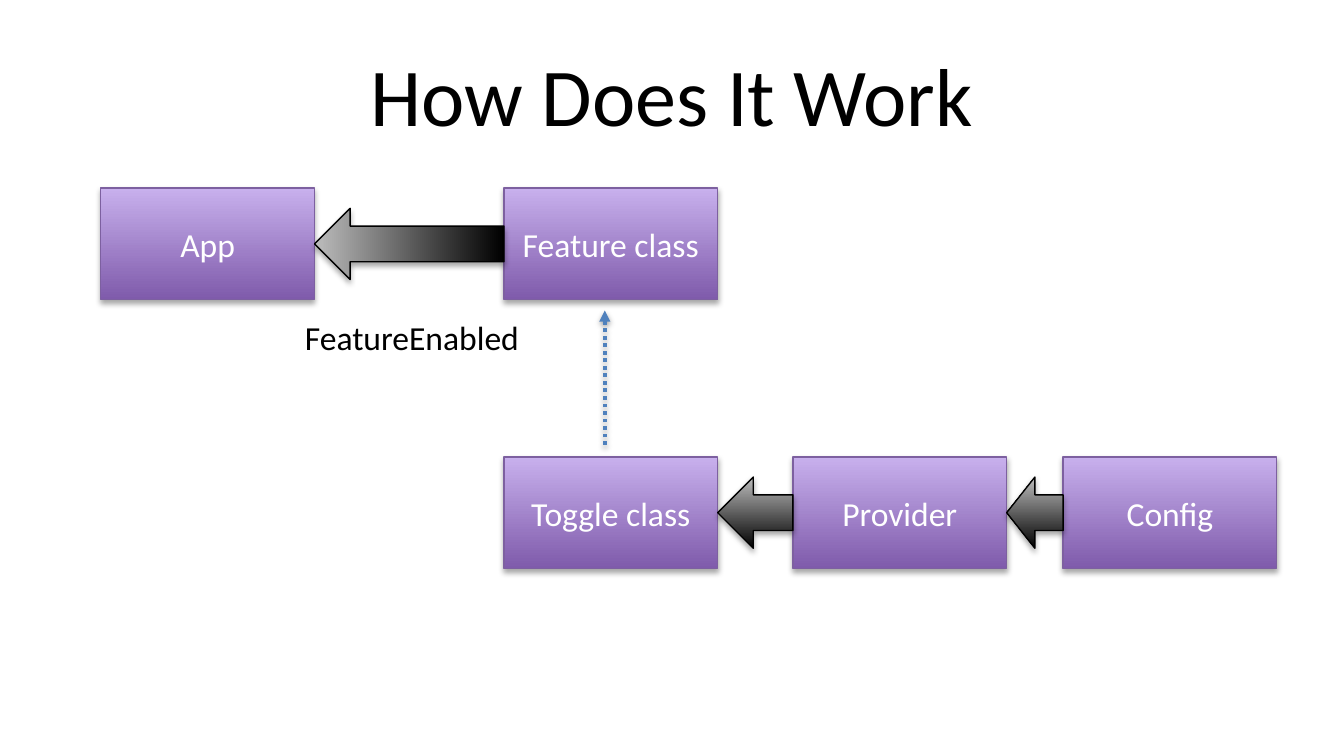
from lxml import etree
from pptx import Presentation
from pptx.dml.color import RGBColor
from pptx.enum.dml import MSO_LINE
from pptx.enum.shapes import MSO_CONNECTOR, MSO_SHAPE
from pptx.enum.text import MSO_ANCHOR, MSO_AUTO_SIZE, PP_ALIGN
from pptx.oxml import parse_xml
from pptx.oxml.ns import qn
from pptx.util import Inches, Pt

RECTANGLE = MSO_SHAPE.RECTANGLE
LEFT_ARROW = MSO_SHAPE.LEFT_ARROW
UP_ARROW = MSO_SHAPE.UP_ARROW
STRAIGHT = MSO_CONNECTOR.STRAIGHT
DOTTED = MSO_LINE.ROUND_DOT
MIDDLE = MSO_ANCHOR.MIDDLE
CENTER = PP_ALIGN.CENTER
LEFT = PP_ALIGN.LEFT
FIT_SHAPE = MSO_AUTO_SIZE.SHAPE_TO_FIT_TEXT

FONT = "Calibri"
BLACK, WHITE, BLUE = "000000", "FFFFFF", "4F81BD"
PURPLE_DARK, PURPLE_LIGHT, PURPLE_EDGE = "7F5BAB", "C8B0ED", "7D60A0"
GREY = "BDBDBD"
COLUMNS = (0.75, 3.75, 5.9, 7.91)
ROWS = (1.4, 3.4)
BOX_WIDTH, BOX_HEIGHT = 1.59, 0.83
ARROW_THICKNESS = 0.53
DRAWING_NS = "http://schemas.openxmlformats.org/drawingml/2006/main"


def color(hex_string):
    """Turn a hex string into a colour."""
    return RGBColor.from_string(hex_string)


def add_shadow(shape, blur, distance, opacity):
    """Give a shape a soft black shadow that falls straight down."""
    shape._element.spPr.append(parse_xml(
        f'<a:effectLst xmlns:a="{DRAWING_NS}">'
        f'<a:outerShdw blurRad="{Pt(blur)}" dist="{Pt(distance)}" dir="5400000" rotWithShape="0">'
        f'<a:srgbClr val="{BLACK}"><a:alpha val="{opacity * 1000}"/></a:srgbClr>'
        '</a:outerShdw></a:effectLst>'))


def write_text(frame, text, size, hex_string, align):
    """Fill a text frame with one formatted paragraph."""
    frame.text = text
    para = frame.paragraphs[0]
    para.alignment = align
    para.font.name = FONT
    para.font.size = Pt(size)
    para.font.color.rgb = color(hex_string)


def add_title(page, text):
    """Place the slide title in its placeholder."""
    title = page.shapes.title
    title.left, title.top = Inches(0.5), Inches(0.23)
    title.width, title.height = Inches(9), Inches(0.94)
    title.text_frame.vertical_anchor = MIDDLE
    write_text(title.text_frame, text, 44, BLACK, CENTER)


def add_gradient_shape(page, kind, bounds, bottom, top, edge):
    """Draw a shape with a vertical gradient, a thin edge and a shadow."""
    shape = page.shapes.add_shape(kind, *map(Inches, bounds))
    shape.fill.gradient()
    shape.fill.gradient_angle = 90
    for stop, hex_string in zip(shape.fill.gradient_stops, (bottom, top)):
        stop.color.rgb = color(hex_string)
    shape.line.color.rgb = color(edge)
    shape.line.width = Pt(0.75)
    add_shadow(shape, 3.1, 1.8, 35)
    return shape


def add_component(page, text, column, row):
    """Draw a labelled purple box in a grid cell."""
    bounds = (COLUMNS[column], ROWS[row], BOX_WIDTH, BOX_HEIGHT)
    box = add_gradient_shape(page, RECTANGLE, bounds, PURPLE_DARK, PURPLE_LIGHT, PURPLE_EDGE)
    box.text_frame.vertical_anchor = MIDDLE
    write_text(box.text_frame, text, 18, WHITE, CENTER)


def add_arrow_between(page, column, row):
    """Draw a left arrow that fills the gap after a grid cell."""
    left = COLUMNS[column] + BOX_WIDTH
    top = ROWS[row] + (BOX_HEIGHT - ARROW_THICKNESS) / 2
    bounds = (left, top, COLUMNS[column + 1] - left, ARROW_THICKNESS)
    add_gradient_shape(page, LEFT_ARROW, bounds, BLACK, GREY, BLACK)


def add_turned_arrow(page, column, row):
    """Draw an up arrow turned left, so its gradient runs along the gap."""
    left = COLUMNS[column] + BOX_WIDTH
    length = COLUMNS[column + 1] - left
    middle = ROWS[row] + BOX_HEIGHT / 2
    bounds = (left + (length - ARROW_THICKNESS) / 2, middle - length / 2, ARROW_THICKNESS, length)
    add_gradient_shape(page, UP_ARROW, bounds, BLACK, GREY, BLACK).rotation = 270


def add_label(page, text, bounds):
    """Add a plain one-line label."""
    box = page.shapes.add_textbox(*map(Inches, bounds))
    box.text_frame.word_wrap = False
    box.text_frame.auto_size = FIT_SHAPE
    write_text(box.text_frame, text, 18, BLACK, LEFT)


def add_dotted_arrow(page, x, start, end):
    """Draw a vertical dotted line with an arrowhead at its end."""
    link = page.shapes.add_connector(STRAIGHT, *map(Inches, (x, start, x, end)))
    link.line.color.rgb = color(BLUE)
    link.line.width = Pt(2)
    link.line.dash_style = DOTTED
    etree.SubElement(link.line._get_or_add_ln(), qn("a:tailEnd"), type="triangle")
    add_shadow(link, 3.1, 1.6, 38)


def main():
    """Build the slide and save it."""
    deck = Presentation()
    deck.slide_width = Inches(10)
    deck.slide_height = deck.slide_width * 9 // 16
    page = deck.slides.add_slide(deck.slide_layouts[5])
    add_title(page, "How Does It Work")
    for text, column, row in (("App", 0, 0), ("Feature class", 1, 0), ("Toggle class", 1, 1),
                              ("Provider", 2, 1), ("Config", 3, 1)):
        add_component(page, text, column, row)
    add_turned_arrow(page, 0, 0)
    for column in (1, 2):
        add_arrow_between(page, column, 1)
    add_label(page, "FeatureEnabled", (2.17, 2.31, 1.81, 0.4))
    add_dotted_arrow(page, 4.5, 3.31, 2.31)
    deck.save("out.pptx")


if __name__ == "__main__":
    main()
